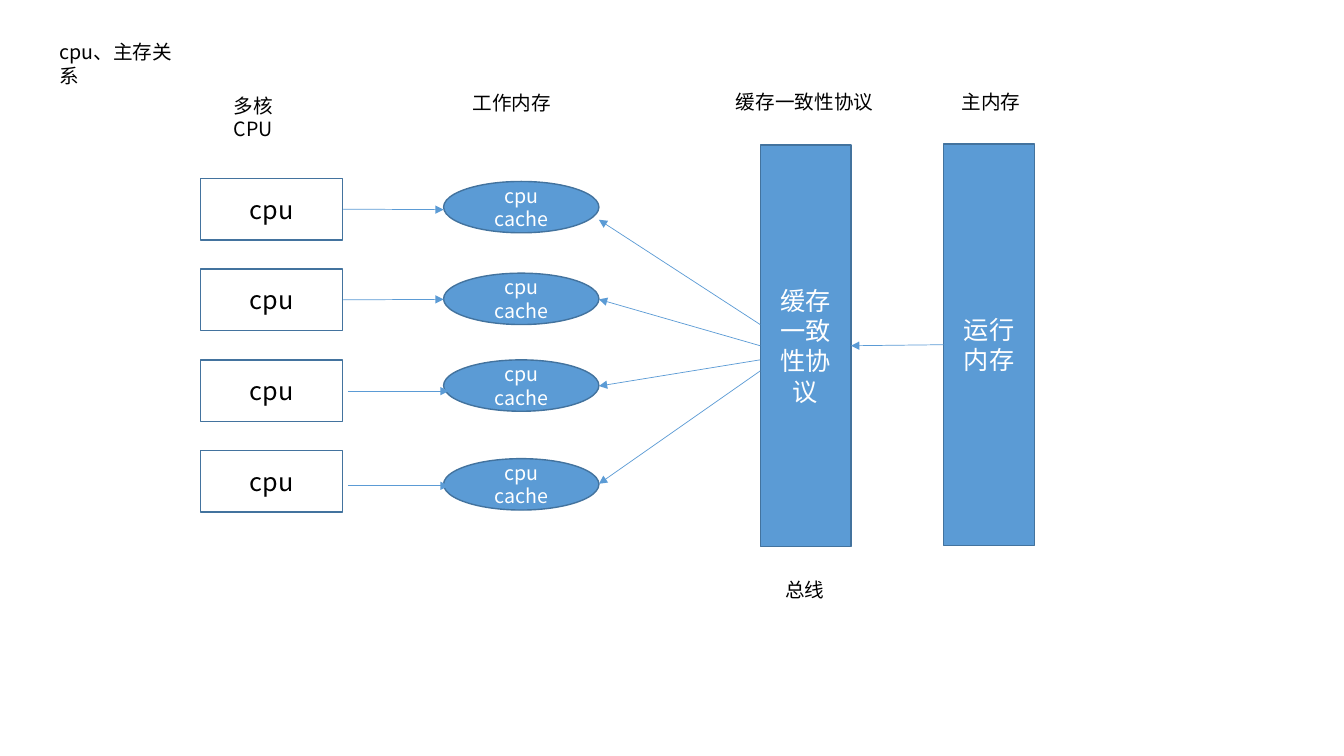
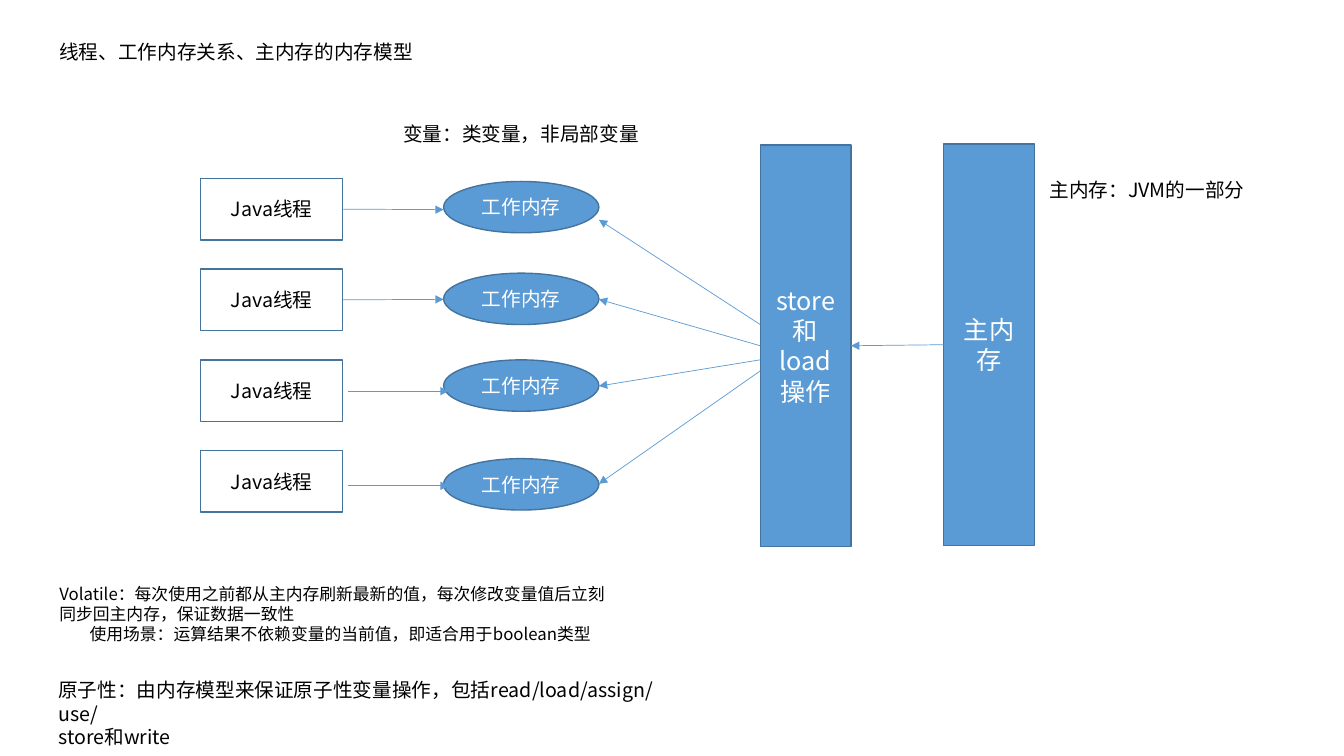
from lxml import etree
from pptx import Presentation
from pptx import util as u
from pptx.dml import color
from pptx.enum import shapes, text
from pptx.oxml import ns

FONT = "Noto Sans CJK SC"
BLUE, EDGE, BLACK, WHITE = "5B9BD5", "43739E", "000000", "FFFFFF"
CPU_TOP, CPU_STEP, CPU_HEIGHT = 1.77, 0.9, 0.61
CACHE_TOPS = [1.8, 2.71, 3.57, 4.55]
REQUESTS = [(3.4, 2.08), (3.4, 2.97), (3.45, 3.88), (3.45, 4.82)]
REPLIES = [(3.22, 2.18), (3.43, 2.97), (3.57, 3.83), (3.68, 4.8)]


def rgb(value):
    return color.RGBColor.from_string(value)


def write(frame, wording, size=14, ink=BLACK, align=text.PP_ALIGN.LEFT,
          anchor=text.MSO_ANCHOR.TOP, last_indent=0):
    frame.word_wrap = True
    frame.vertical_anchor = anchor
    lines = wording.split("\n")
    for number, line in enumerate(lines):
        paragraph = frame.add_paragraph() if number else frame.paragraphs[0]
        paragraph.alignment = align
        run = paragraph.add_run()
        run.text = line
        run.font.size = u.Pt(size)
        run.font.color.rgb = rgb(ink)
        run.font.name = FONT
        east_asian = etree.SubElement(run.font._element, ns.qn("a:ea"))
        east_asian.set("typeface", FONT)
    if last_indent:
        properties = paragraph._p.get_or_add_pPr()
        properties.set("marL", "0")
        properties.set("indent", str(u.Inches(last_indent)))


class Diagram:
    """Holds the shared style and draws each kind of element on the current slide."""

    def __init__(self):
        self.deck = Presentation()
        self.deck.slide_width = u.Inches(13.33)
        self.deck.slide_height = u.Inches(7.5)
        self.slide = None

    def new_slide(self):
        self.slide = self.deck.slides.add_slide(self.deck.slide_layouts[6])

    def node(self, wording, left, top, width, height, size=14, fill=BLUE,
             ink=WHITE, outline=shapes.MSO_SHAPE.RECTANGLE):
        node = self.slide.shapes.add_shape(
            outline, *map(u.Inches, (left, top, width, height)))
        node.shadow.inherit = False
        if fill:
            node.fill.solid()
            node.fill.fore_color.rgb = rgb(fill)
        else:
            node.fill.background()
        node.line.color.rgb = rgb(EDGE)
        node.line.width = u.Pt(1)
        write(node.text_frame, wording, size=size, ink=ink,
              align=text.PP_ALIGN.CENTER, anchor=text.MSO_ANCHOR.MIDDLE)
        return node

    def label(self, wording, left, top, width, height=0.34, **style):
        box = self.slide.shapes.add_textbox(
            *map(u.Inches, (left, top, width, height)))
        write(box.text_frame, wording, **style)

    def arrow(self, start, end, source=None, target=None):
        arrow = self.slide.shapes.add_connector(
            shapes.MSO_CONNECTOR.STRAIGHT, *map(u.Inches, (*start, *end)))
        arrow.line.color.rgb = rgb(BLUE)
        arrow.line.width = u.Pt(0.5)
        head = etree.SubElement(arrow.line._get_or_add_ln(), ns.qn("a:tailEnd"))
        head.set("type", "triangle")
        etree.SubElement(arrow._element.spPr, ns.qn("a:effectLst"))
        if source is not None:
            arrow.begin_connect(source, 1 if source.left > u.Inches(5) else 3)
        if target is not None:
            arrow.end_connect(target, 3)

    def memory_model(self, worker, cache, bus, memory, worker_size):
        workers = [
            self.node(worker, 1.99, CPU_TOP + row * CPU_STEP, 1.41, CPU_HEIGHT,
                      size=worker_size, fill=None, ink=BLACK)
            for row in range(4)]
        for top in CACHE_TOPS:
            self.node(cache, 4.4, top, 1.54, 0.51, outline=shapes.MSO_SHAPE.OVAL)
        bus_bar = self.node(bus, 7.54, 1.44, 0.9, 3.98, size=18)
        memory_bar = self.node(memory, 9.36, 1.43, 0.9, 3.98, size=18)
        for row, (left, height) in enumerate(REQUESTS):
            self.arrow((left, height), (left + 1, height),
                       source=workers[row] if row < 2 else None)
        for row, (bus_height, cache_height) in enumerate(REPLIES):
            self.arrow((7.54, bus_height), (5.94, cache_height),
                       source=bus_bar if row == 1 else None)
        self.arrow((9.36, 3.42), (8.44, 3.43), source=memory_bar, target=bus_bar)


def main():
    diagram = Diagram()

    diagram.new_slide()
    diagram.memory_model("cpu", "cpu cache", "缓存一致性协议", "运行内存", worker_size=18)
    diagram.label("cpu、主存关系", 0.49, 0.35, 1.49)
    diagram.label("多核CPU", 2.22, 0.88, 0.96)
    diagram.label("工作内存", 4.59, 0.85, 0.99)
    diagram.label("缓存一致性协议", 7.2, 0.84, 1.58)
    diagram.label("主内存", 9.44, 0.84, 0.79)
    diagram.label("总线", 7.69, 5.68, 0.59)

    diagram.new_slide()
    diagram.memory_model("Java线程", "工作内存", "store和load操作", "主内存", worker_size=14)
    diagram.label("线程、工作内存关系、主内存的内存模型", 0.49, 0.35, 3.74)
    diagram.label("主内存：JVM的一部分", 10.31, 1.72, 2.26)
    diagram.label("变量：类变量，非局部变量", 3.9, 1.16, 2.71)
    diagram.label("Volatile：每次使用之前都从主内存刷新最新的值，每次修改变量值后立刻同步回主内存，保证数据一致性\n"
                  "使用场景：运算结果不依赖变量的当前值，即适合用于boolean类型",
                  0.49, 5.74, 5.71, 0.71, size=12, last_indent=0.3)
    diagram.label("原子性：由内存模型来保证原子性变量操作，包括read/load/assign/use/\n"
                  "store和write", 0.48, 6.68, 6.38, 0.57)

    diagram.deck.save("out.pptx")


if __name__ == "__main__":
    main()
